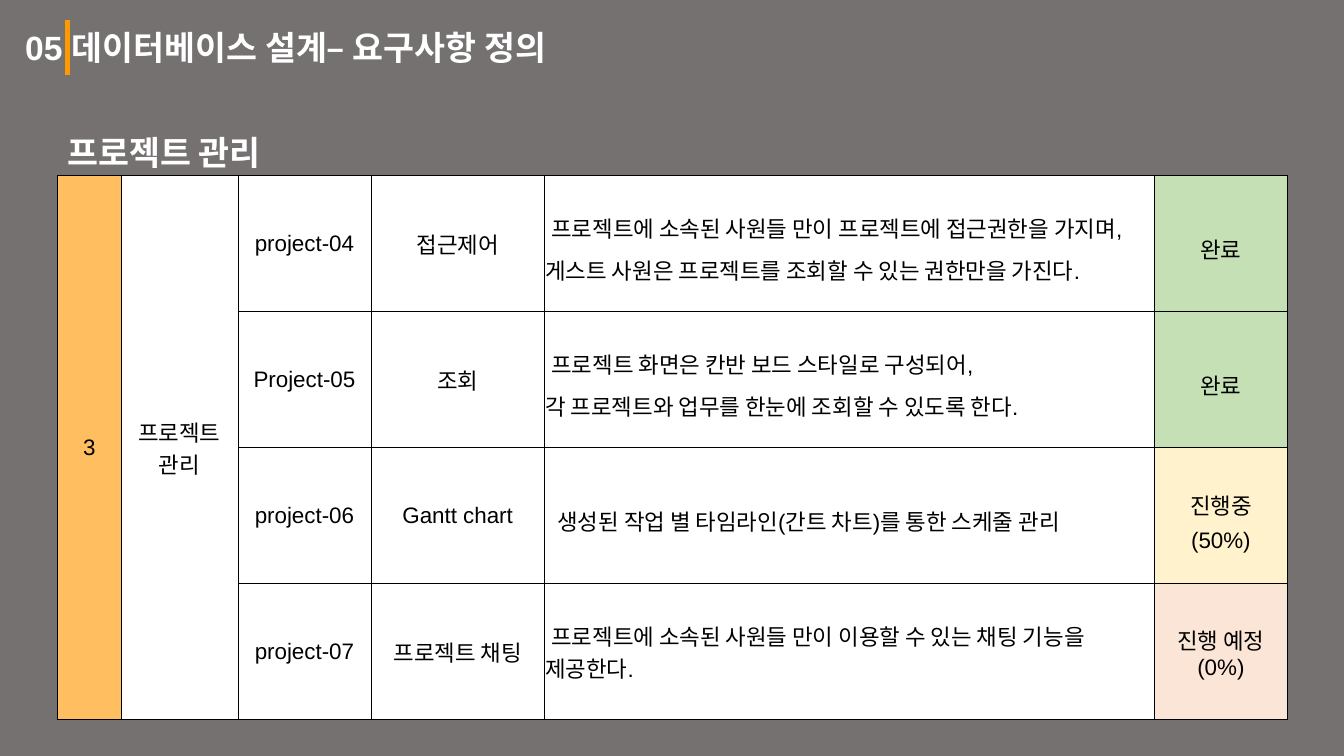
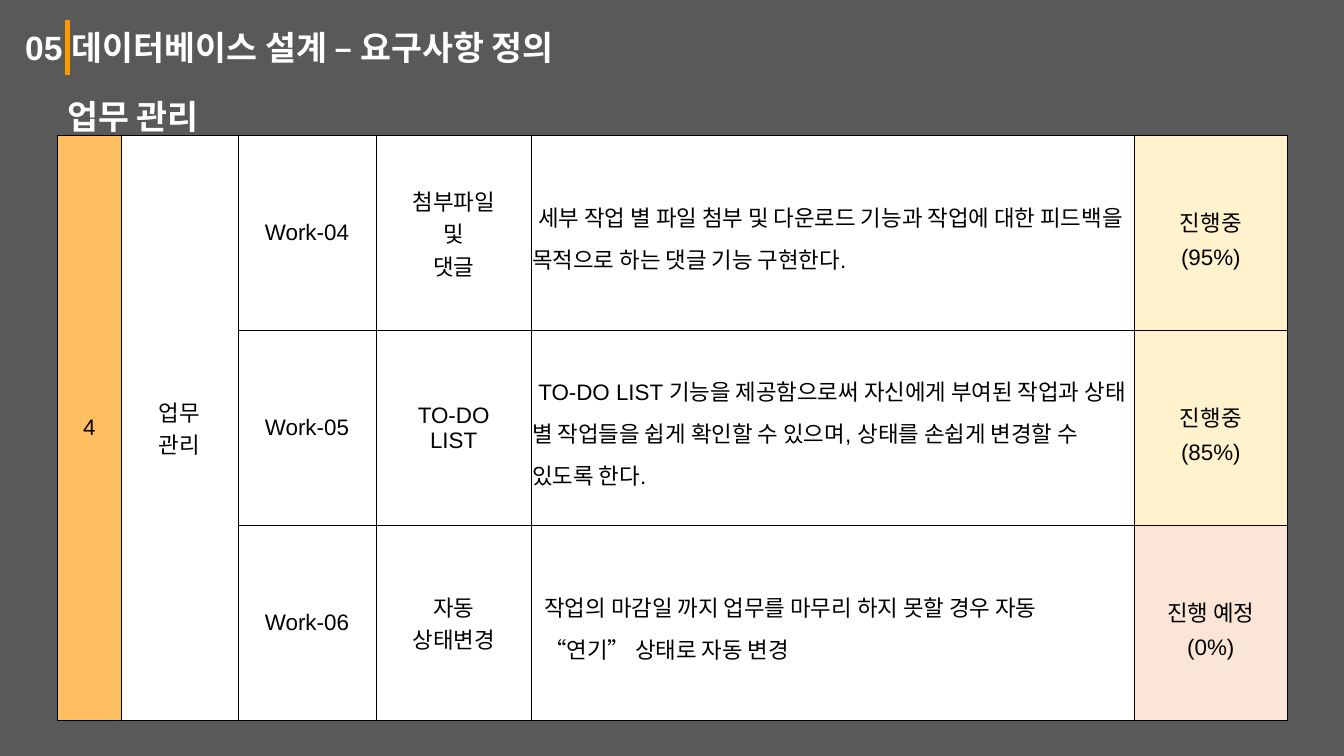
from lxml import etree
from pptx import Presentation
from pptx import util as u
from pptx.dml.color import RGBColor
from pptx.enum import shapes, text
from pptx.oxml import parse_xml
from pptx.oxml.ns import nsdecls, qn

HEX = {"white": "FFFFFF", "black": "000000", "bar": "FF9900", "group": "FFBF61",
       "done": "C5E0B4", "doing": "FFF2CC", "plan": "FBE5D6"}
LATIN, KOREAN = "Arial", "Noto Sans CJK KR"
LEFT, BOTTOM = 0.57, 7.14
STEP = 0.06  # first-line indent of one step
HEAD = {"size": u.Pt(24), "bold": True, "name": LATIN}
SUB = {**HEAD, "name": KOREAN}
BODY = {"size": u.Pt(16), "bold": False, "name": LATIN}

# Each row: code, name, [(indent steps, line)], state, state text, line spacing
PAGES = [
    {"back": "767171", "title": "05 데이터베이스 설계– 요구사항 정의",
     "sub": "프로젝트 관리", "sub_at": (1.14, 2.34), "top": 1.74,
     "cols": [0.63, 1.16, 1.32, 1.72, 6.05, 1.32],
     "group": ("3", "프로젝트\n관리"),
     "rows": [
         ("project-04", "접근제어",
          [(1, "프로젝트에 소속된 사원들 만이 프로젝트에 접근권한을 가지며, "
               "게스트 사원은 프로젝트를 조회할 수 있는 권한만을 가진다.")],
          "done", "완료", 1.3),
         ("Project-05", "조회",
          [(1, "프로젝트 화면은 칸반 보드 스타일로 구성되어,"),
           (0, "각 프로젝트와 업무를 한눈에 조회할 수 있도록 한다.")],
          "done", "완료", 1.3),
         ("project-06", "Gantt chart",
          [(2, "생성된 작업 별 타임라인(간트 차트)를 통한 스케줄 관리")],
          "doing", "진행중\n(50%)", 1.3),
         ("project-07", "프로젝트 채팅",
          [(1, "프로젝트에 소속된 사원들 만이 이용할 수 있는 채팅 기능을 제공한다.")],
          "plan", "진행 예정\n(0%)", 1.0),
     ]},
    {"back": "595959", "title": "05 데이터베이스 설계 – 요구사항 정의",
     "sub": "업무 관리", "sub_at": (0.78, 1.67), "top": 1.34,
     "cols": [0.63, 1.16, 1.37, 1.54, 5.98, 1.52],
     "group": ("4", "업무\n관리"),
     "rows": [
         ("Work-04", "첨부파일\n및\n댓글",
          [(1, "세부 작업 별 파일 첨부 및 다운로드 기능과 작업에 대한 "
               "피드백을 목적으로 하는 댓글 기능 구현한다.")],
          "doing", "진행중\n(95%)", 1.3),
         ("Work-05", "TO-DO\nLIST",
          [(1, "TO-DO LIST 기능을 제공함으로써 자신에게 부여된 작업과 "
               "상태 별 작업들을 쉽게 확인할 수 있으며, "
               "상태를 손쉽게 변경할 수 있도록 한다.")],
          "doing", "진행중\n(85%)", 1.3),
         ("Work-06", "자동\n상태변경",
          [(2, "작업의 마감일 까지 업무를 마무리 하지 못할 경우 자동"),
           (2, "“연기” 상태로 자동 변경")],
          "plan", "진행 예정\n(0%)", 1.3),
     ]},
]


def write(frame, lines, look, color, align, space=1.0):
    """Fill a text frame with (indent steps, line) pairs."""
    for i, (steps, line) in enumerate(lines):
        par = frame.paragraphs[0] if i == 0 else frame.add_paragraph()
        par.alignment, par.line_spacing = align, space
        if steps:
            props = par._p.get_or_add_pPr()
            props.set("marL", "0")
            props.set("indent", str(u.Inches(steps * STEP)))
        run = par.add_run()
        run.text = line
        for key, val in look.items():
            setattr(run.font, key, val)
        run.font.color.rgb = RGBColor.from_string(HEX[color])
        face = etree.SubElement(run._r.get_or_add_rPr(), qn("a:ea"))
        face.set("typeface", KOREAN)


def style(cell, fill):
    """Set the margins, thin black borders and fill of a cell."""
    form = {"margin_left": u.Inches(0.01), "margin_right": u.Inches(0.01),
            "margin_top": u.Inches(0.01), "margin_bottom": 0,
            "vertical_anchor": text.MSO_ANCHOR.MIDDLE}
    for key, val in form.items():
        setattr(cell, key, val)
    props = cell._tc.get_or_add_tcPr()
    for side in "LRTB":
        props.append(parse_xml(
            f'<a:ln{side} {nsdecls("a")} w="{u.Pt(0.25)}"><a:solidFill>'
            f'<a:srgbClr val="{HEX["black"]}"/></a:solidFill></a:ln{side}>'))
    cell.fill.solid()
    cell.fill.fore_color.rgb = RGBColor.from_string(HEX[fill])


deck = Presentation()
deck.slide_width, deck.slide_height = u.Inches(13.33), u.Inches(7.5)
start, mid = text.PP_ALIGN.LEFT, text.PP_ALIGN.CENTER

for page in PAGES:
    slide = deck.slides.add_slide(deck.slide_layouts[5])
    slide.background.fill.solid()
    slide.background.fill.fore_color.rgb = RGBColor.from_string(page["back"])

    title = slide.shapes.title
    spot = {"left": 0.15, "top": 0.22, "width": 6.62, "height": 0.91}
    for key, val in spot.items():
        setattr(title, key, u.Inches(val))
    frame = title.text_frame
    frame.vertical_anchor = text.MSO_ANCHOR.TOP
    frame.auto_size = text.MSO_AUTO_SIZE.NONE
    write(frame, [(0, page["title"])], HEAD, "white", start)

    x = u.Inches(0.67)
    bar = slide.shapes.add_connector(
        shapes.MSO_CONNECTOR.STRAIGHT, x, u.Inches(0.2), x, u.Inches(0.74))
    bar.line.width = u.Pt(3)
    bar.line.color.rgb = RGBColor.from_string(HEX["bar"])
    etree.SubElement(bar._element.spPr, qn("a:effectLst"))

    top, wide = page["sub_at"]
    sub = slide.shapes.add_textbox(
        u.Inches(LEFT), u.Inches(top), u.Inches(wide), u.Inches(0.57))
    sub.text_frame.word_wrap = False
    write(sub.text_frame, [(0, page["sub"])], SUB, "white", start, 1.3)

    rows, cols = page["rows"], page["cols"]
    tall = BOTTOM - page["top"]
    table = slide.shapes.add_table(
        len(rows), len(cols), u.Inches(LEFT), u.Inches(page["top"]),
        u.Inches(sum(cols)), u.Inches(tall)).table
    table.first_row = table.horz_banding = False
    for col, wide in zip(table.columns, cols):
        col.width = u.Inches(wide)

    for r, (code, name, about, state, note, space) in enumerate(rows):
        table.rows[r].height = u.Inches(tall / len(rows))
        for c, fill in enumerate(["group"] + ["white"] * 4 + [state]):
            style(table.cell(r, c), fill)
        labels = {2: (code, 1.0), 3: (name, 1.0), 5: (note, space)}
        if r == 0:
            labels.update({c: (word, 1.0) for c, word in enumerate(page["group"])})
        for c, (word, gap) in labels.items():
            lines = [(0, line) for line in word.split("\n")]
            write(table.cell(r, c).text_frame, lines, BODY, "black", mid, gap)
        write(table.cell(r, 4).text_frame, about, BODY, "black", start, space)

    for c in range(2):
        table.cell(0, c).merge(table.cell(len(rows) - 1, c))

deck.save("out.pptx")
